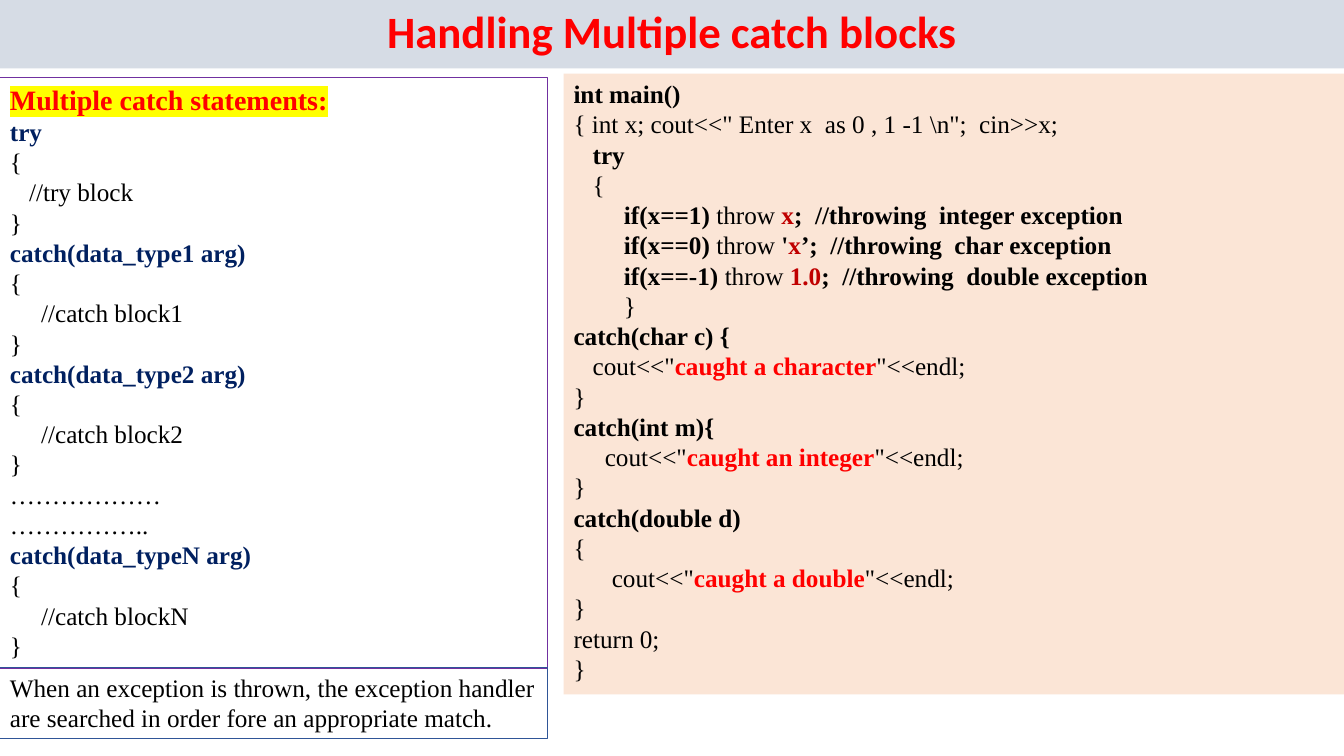
from dataclasses import dataclass

from lxml.etree import SubElement
from pptx import Presentation
from pptx.dml.color import RGBColor
from pptx.enum.text import MSO_ANCHOR, MSO_AUTO_SIZE, PP_ALIGN
from pptx.oxml.ns import qn
from pptx.shapes.autoshape import Shape
from pptx.slide import Slide
from pptx.util import Inches, Pt

COLORS = {
    "black": "000000", "red": "FF0000", "dark red": "C00000", "navy": "002060",
    "yellow": "FFFF00", "purple": "7030A0", "blue": "2F5597",
    "band": "D6DCE5", "peach": "FBE5D6",
}
SERIF = "Times New Roman"


@dataclass(frozen=True)
class Piece:
    """A stretch of text in one format."""
    text: str
    color: str = "black"
    bold: bool = False
    size: int = 18
    font: str = SERIF
    highlight: str = ""


@dataclass(frozen=True)
class Line:
    """One paragraph and its left indent in inches."""
    pieces: tuple[Piece, ...]
    indent: float = 0


@dataclass(frozen=True)
class Panel:
    """A text box with its place, lines, fill and outline."""
    left: float
    top: float
    width: float
    height: float
    lines: list[Line]
    fill: str = ""
    outline: str = ""


def plain(text: str, indent: float = 0) -> Line:
    """Return a line of regular text."""
    return Line((Piece(text),), indent)


def strong(text: str, color: str = "black", indent: float = 0) -> Line:
    """Return a line of bold text."""
    return Line((Piece(text, color, True),), indent)


def syntax_block(keyword: str, comment: str, indent: float) -> list[Line]:
    """Return a keyword with a braced comment below it."""
    return [strong(keyword, "navy"), plain("{"), plain(comment, indent), plain("}")]


def catch_syntax(number: str) -> list[Line]:
    """Return the general form of one catch block."""
    return syntax_block(f"catch(data_type{number} arg)", f"//catch block{number}", 0.31)


def throw_line(value: str, opening: str, thrown: str, closing: str, kind: str) -> Line:
    """Return the test that throws one kind of exception."""
    pieces = [
        Piece(f"if(x=={value}) ", bold=True),
        Piece("throw "),
        Piece(opening, bold=True),
        Piece(thrown, "dark red", True),
        Piece(f"{closing};  //throwing  {kind} exception", bold=True),
    ]
    return Line(tuple(piece for piece in pieces if piece.text), 0.5)


def caught_lines(message: str, indent: float) -> list[Line]:
    """Return the output statement of a handler and its closing brace."""
    pieces = (Piece('cout<<"'), Piece(message, "red", True), Piece('"<<endl;'))
    return [Line(pieces, indent), plain("}")]


def add_line(shape: Shape, index: int, line: Line) -> None:
    """Write one line as a paragraph of the shape."""
    text_frame = shape.text_frame
    paragraph = text_frame.add_paragraph() if index else text_frame.paragraphs[0]
    if line.indent:
        properties = paragraph._p.get_or_add_pPr()
        properties.set("marL", str(Inches(line.indent)))
        properties.set("indent", "0")
    for piece in line.pieces:
        run = paragraph.add_run()
        run.text = piece.text
        run.font.size = Pt(piece.size)
        run.font.bold = piece.bold
        run.font.color.rgb = RGBColor.from_string(COLORS[piece.color])
        if piece.highlight:
            highlight = SubElement(run._r.get_or_add_rPr(), qn("a:highlight"))
            SubElement(highlight, qn("a:srgbClr"), val=COLORS[piece.highlight])
        run.font.name = piece.font


def add_panel(slide: Slide, panel: Panel) -> Shape:
    """Draw a panel and its lines of text."""
    shape = slide.shapes.add_textbox(
        Inches(panel.left), Inches(panel.top), Inches(panel.width), Inches(panel.height))
    shape.text_frame.word_wrap = True
    shape.text_frame.auto_size = MSO_AUTO_SIZE.SHAPE_TO_FIT_TEXT
    if panel.fill:
        shape.fill.solid()
        shape.fill.fore_color.rgb = RGBColor.from_string(COLORS[panel.fill])
    if panel.outline:
        shape.line.color.rgb = RGBColor.from_string(COLORS[panel.outline])
        shape.line.width = Pt(0.75)
    for index, line in enumerate(panel.lines):
        add_line(shape, index, line)
    return shape


def add_title(slide: Slide, title: str) -> None:
    """Draw the title band across the top."""
    piece = Piece(title, "red", True, 32, "Calibri")
    shape = add_panel(slide, Panel(0, 0, 13.33, 0.68, [Line((piece,))], fill="band"))
    shape.text_frame.auto_size = MSO_AUTO_SIZE.NONE
    shape.text_frame.vertical_anchor = MSO_ANCHOR.MIDDLE
    paragraph = shape.text_frame.paragraphs[0]
    paragraph.alignment = PP_ALIGN.CENTER
    paragraph.line_spacing = 0.9
    paragraph.space_after = Pt(8)


SYNTAX_LINES = [
    Line((Piece("Multiple catch statements:", "red", True, 20, highlight="yellow"),)),
    *syntax_block("try", "//try block", 0.19),
    *catch_syntax("1"),
    *catch_syntax("2"),
    plain("………………"),
    plain("…………….."),
    *catch_syntax("N"),
]
PROGRAM_LINES = [
    strong("int main()"),
    plain('{ int x; cout<<" Enter x  as 0 , 1 -1 \\n";  cin>>x;'),
    strong("try", indent=0.19),
    plain("{", 0.19),
    throw_line("1", "", "x", "", "integer"),
    throw_line("0", "'", "x", "’", "char"),
    throw_line("-1", "", "1.0", "", "double"),
    plain("}", 0.5),
    strong("catch(char c) {"),
    *caught_lines("caught a character", 0.19),
    strong("catch(int m){"),
    *caught_lines("caught an integer", 0.31),
    strong("catch(double d)"),
    plain("{"),
    *caught_lines("caught a double", 0.38),
    plain("return 0;"),
    plain("}"),
]
MATCH_NOTE = [plain("When an exception is thrown, the exception handler "
                    "are searched in order fore an appropriate match.")]
PANELS = [
    Panel(0, 0.77, 5.43, 5.86, SYNTAX_LINES, outline="purple"),
    Panel(5.59, 0.73, 7.74, 6.16, PROGRAM_LINES, fill="peach"),
    Panel(0, 6.62, 5.43, 0.71, MATCH_NOTE, outline="blue"),
]


def main() -> None:
    """Build and save the slide."""
    presentation = Presentation()
    presentation.slide_width = Inches(13.33)
    presentation.slide_height = Inches(7.5)
    slide = presentation.slides.add_slide(presentation.slide_layouts[6])
    add_title(slide, "Handling Multiple catch blocks")
    for panel in PANELS:
        add_panel(slide, panel)
    presentation.save("out.pptx")


main()
